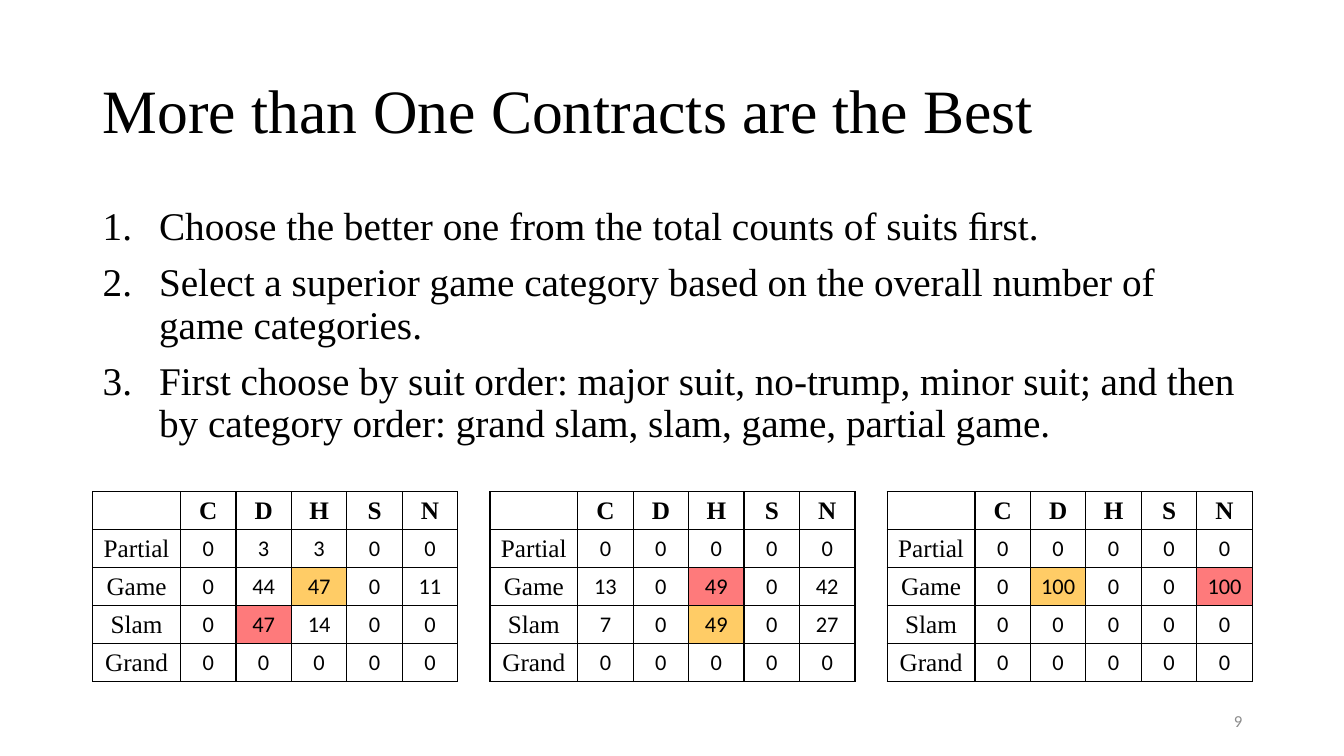
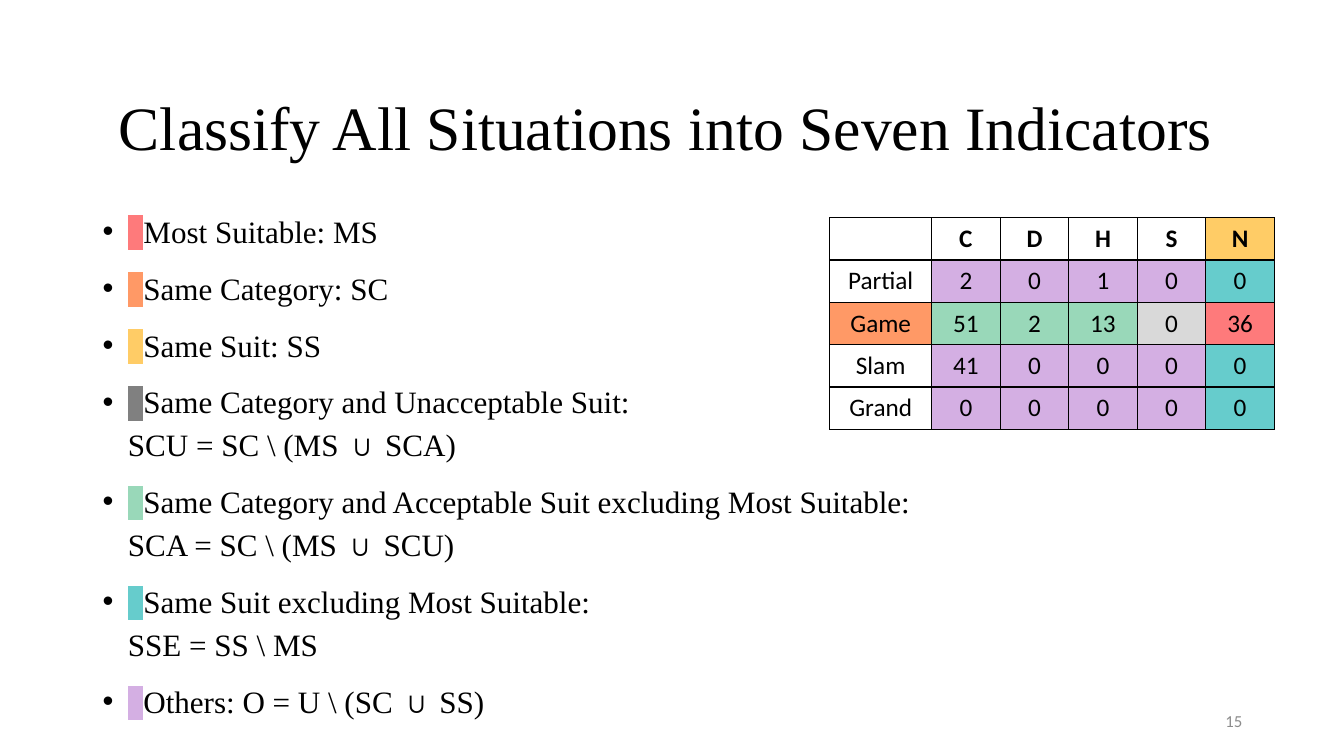
"""Build two slides on choosing and classifying bridge contracts."""
from dataclasses import dataclass, field

from lxml import etree
from pptx import Presentation
from pptx.dml.color import RGBColor
from pptx.enum.text import MSO_ANCHOR, MSO_AUTO_SIZE, PP_ALIGN
from pptx.oxml.ns import qn
from pptx.util import Inches, Pt

LEFT, CENTER, RIGHT = PP_ALIGN.LEFT, PP_ALIGN.CENTER, PP_ALIGN.RIGHT
MIDDLE = MSO_ANCHOR.MIDDLE
NO_FIT = MSO_AUTO_SIZE.NONE
TITLE_ONLY = 5

SERIF, SANS = "Times New Roman", "Calibri"
BLACK, GRAY = "000000", "8C8C8C"
MS, SC, SS, SCU = "FE7A7B", "FF9966", "FFCC66", "808080"
SCA, SSE, OTHERS, SCU_CELL = "99D8B9", "66CCCC", "D4AFE3", "D9D9D9"

SUITS = ["C", "D", "H", "S", "N"]
CATEGORIES = ["Partial", "Game", "Slam", "Grand"]

STEPS = [
    "Choose the better one from the total counts of suits ﬁrst.",
    "Select a superior game category based on the overall number of game categories.",
    "First choose by suit order: major suit, no-trump, minor suit; and then by "
    "category order: grand slam, slam, game, partial game.",
]


@dataclass
class Indicator:
    """One legend entry: swatch colour and its lines of text."""
    color: str
    lines: list[str]


@dataclass
class CountTable:
    """Contract counts by category and suit, with fills keyed by row and column."""
    left: float
    top: float
    counts: list[list[int]]
    fills: dict[tuple[int, int], str] = field(default_factory=dict)
    label_w: float = 0.87
    col_w: float = 0.55
    row_h: float = 0.377
    label_font: str = SERIF
    count_size: float = 16


INDICATORS = [
    Indicator(MS, ["Most Suitable: MS"]),
    Indicator(SC, ["Same Category: SC"]),
    Indicator(SS, ["Same Suit: SS"]),
    Indicator(SCU, ["Same Category and Unacceptable Suit:", "SCU = SC \\ (MS ∪ SCA)"]),
    Indicator(SCA, ["Same Category and Acceptable Suit excluding Most Suitable: "
                    "SCA = SC \\ (MS ∪ SCU)"]),
    Indicator(SSE, ["Same Suit excluding Most Suitable:", "SSE = SS \\ MS"]),
    Indicator(OTHERS, ["Others: O = U \\ (SC ∪ SS)"]),
]

ZEROS = [0] * len(SUITS)
EXAMPLES = [
    ([[0, 3, 3, 0, 0], [0, 44, 47, 0, 11], [0, 47, 14, 0, 0], ZEROS],
     {(3, 2): MS, (2, 3): SS}),
    ([ZEROS, [13, 0, 49, 0, 42], [7, 0, 49, 0, 27], ZEROS],
     {(2, 3): MS, (3, 3): SS}),
    ([ZEROS, [0, 100, 0, 0, 100], ZEROS, ZEROS],
     {(2, 5): MS, (2, 2): SS}),
]
CLASSIFIED = [[2, 0, 1, 0, 0], [51, 2, 13, 0, 36], [41, 0, 0, 0, 0], ZEROS]


def rgb(color: str) -> RGBColor:
    """Turn a hex string into a colour."""
    return RGBColor.from_string(color)


def style(r, size: float, font: str = SERIF, color: str = BLACK, bold: bool = False) -> None:
    """Format one run."""
    r.font.size = Pt(size)
    r.font.name = font
    r.font.bold = bold
    r.font.color.rgb = rgb(color)


def highlight(r, color: str) -> None:
    """Put a highlight colour behind a run."""
    mark = etree.Element(qn("a:highlight"))
    etree.SubElement(mark, qn("a:srgbClr"), val=color)
    r.font._element.find(qn("a:solidFill")).addnext(mark)


def set_list(p, index: int, indent: float, spacing: float, tag: str, **attrs: str) -> None:
    """Give a paragraph its marker, hanging indent and spacing."""
    pPr = p._p.get_or_add_pPr()
    pPr.set("marL", str(Inches(indent)))
    pPr.set("indent", str(-Inches(indent)))
    if tag == "a:buChar":
        etree.SubElement(pPr, qn("a:buFont"), typeface="Arial")
    etree.SubElement(pPr, qn(tag), **attrs)
    p.line_spacing = spacing
    p.space_before = Pt(10 if index else 0)


def add_text(slide, left: float, top: float, width: float, height: float):
    """Add an empty wrapping text box and return its text frame."""
    tf = slide.shapes.add_textbox(
        Inches(left), Inches(top), Inches(width), Inches(height)).text_frame
    tf.word_wrap = True
    return tf


def add_slide(prs, title: str, number: int, left: float, top: float, width: float):
    """Add a slide with its title and slide number."""
    slide = prs.slides.add_slide(prs.slide_layouts[TITLE_ONLY])
    sp = slide.shapes.title
    sp.left, sp.top = Inches(left), Inches(top)
    sp.width, sp.height = Inches(width), Inches(1.45)
    tf = sp.text_frame
    tf.text = title
    tf.auto_size = NO_FIT
    tf.vertical_anchor = MIDDLE
    p = tf.paragraphs[0]
    p.alignment = LEFT
    p.line_spacing = 0.9
    style(p.runs[0], 44)

    tf = add_text(slide, 9.42, 6.95, 3, 0.4)
    tf.text = str(number)
    tf.vertical_anchor = MIDDLE
    tf.paragraphs[0].alignment = RIGHT
    style(tf.paragraphs[0].runs[0], 12, SANS, GRAY)
    return slide


def add_steps(slide, steps: list[str]) -> None:
    """Add the numbered list."""
    tf = add_text(slide, 0.92, 2, 11.5, 2.7)
    for i, step in enumerate(steps):
        p = tf.add_paragraph() if i else tf.paragraphs[0]
        p.text = step
        set_list(p, i, 0.56, 0.9, "a:buAutoNum", type="arabicPeriod")
        style(p.runs[0], 28)


def add_legend(slide, indicators: list[Indicator]) -> None:
    """Add the bulleted list with colour swatches."""
    tf = add_text(slide, 0.92, 2, 8.36, 5.17)
    for i, item in enumerate(indicators):
        p = tf.add_paragraph() if i else tf.paragraphs[0]
        p.text = "  "
        set_list(p, i, 0.25, 1.15, "a:buChar", char="•")
        style(p.runs[0], 22.2)
        highlight(p.runs[0], item.color)
        for n, line in enumerate(item.lines):
            if n:
                p.add_line_break()
            r = p.add_run()
            r.text = line
            style(r, 22.2)


def set_borders(cell) -> None:
    """Draw a thin black line on every side of a cell."""
    tcPr = cell._tc.get_or_add_tcPr()
    for i, side in enumerate(("a:lnL", "a:lnR", "a:lnT", "a:lnB")):
        ln = etree.Element(qn(side), w=str(Pt(1)))
        fill = etree.SubElement(ln, qn("a:solidFill"))
        etree.SubElement(fill, qn("a:srgbClr"), val=BLACK)
        tcPr.insert(i, ln)


def add_count_table(slide, spec: CountTable) -> None:
    """Draw a table of counts."""
    rows = [["", *SUITS]] + [[name, *counts] for name, counts in zip(CATEGORIES, spec.counts)]
    width = spec.label_w + spec.col_w * len(SUITS)
    table = slide.shapes.add_table(
        len(rows), len(rows[0]), Inches(spec.left), Inches(spec.top),
        Inches(width), Inches(spec.row_h * len(rows))).table
    table.first_row = table.horz_banding = False
    for c, column in enumerate(table.columns):
        column.width = Inches(spec.col_w if c else spec.label_w)
    for r, values in enumerate(rows):
        table.rows[r].height = Inches(spec.row_h)
        for c, value in enumerate(values):
            cell = table.cell(r, c)
            cell.text = str(value)
            cell.vertical_anchor = MIDDLE
            cell.margin_left = cell.margin_right = Inches(0.05)
            cell.margin_top = cell.margin_bottom = Inches(0.02)
            if (r, c) in spec.fills:
                cell.fill.solid()
                cell.fill.fore_color.rgb = rgb(spec.fills[r, c])
            else:
                cell.fill.background()
            set_borders(cell)
            p = cell.text_frame.paragraphs[0]
            p.alignment = CENTER
            is_count = r > 0 and c > 0
            for run in p.runs:
                style(run, spec.count_size if is_count else 18,
                      SANS if is_count else spec.label_font, bold=r == 0)


def classify(counts: list[list[int]], best_row: int, best_col: int) -> dict[tuple[int, int], str]:
    """Colour each cell by its relation to the most suitable contract."""
    fills = {(0, best_col): SS, (best_row, 0): SC}
    for r, row in enumerate(counts, 1):
        for c, count in enumerate(row, 1):
            if r == best_row:
                fills[r, c] = MS if c == best_col else SCA if count else SCU_CELL
            else:
                fills[r, c] = SSE if c == best_col else OTHERS
    return fills


def main() -> None:
    """Build and save the presentation."""
    prs = Presentation()
    prs.slide_width, prs.slide_height = Inches(13.33), Inches(7.5)

    slide = add_slide(prs, "More than One Contracts are the Best", 9, 0.92, 0.4, 11.5)
    add_steps(slide, STEPS)
    for i, (counts, fills) in enumerate(EXAMPLES):
        add_count_table(slide, CountTable(0.92 + 3.94 * i, 4.88, counts, fills))

    slide = add_slide(prs, "Classify All Situations into Seven Indicators", 15, 1.08, 0.57, 11.85)
    add_legend(slide, INDICATORS)
    add_count_table(slide, CountTable(
        8.23, 2.16, CLASSIFIED, classify(CLASSIFIED, 2, 5),
        label_w=1.01, col_w=0.68, row_h=0.42, label_font=SANS, count_size=18))

    prs.save("out.pptx")


if __name__ == "__main__":
    main()
